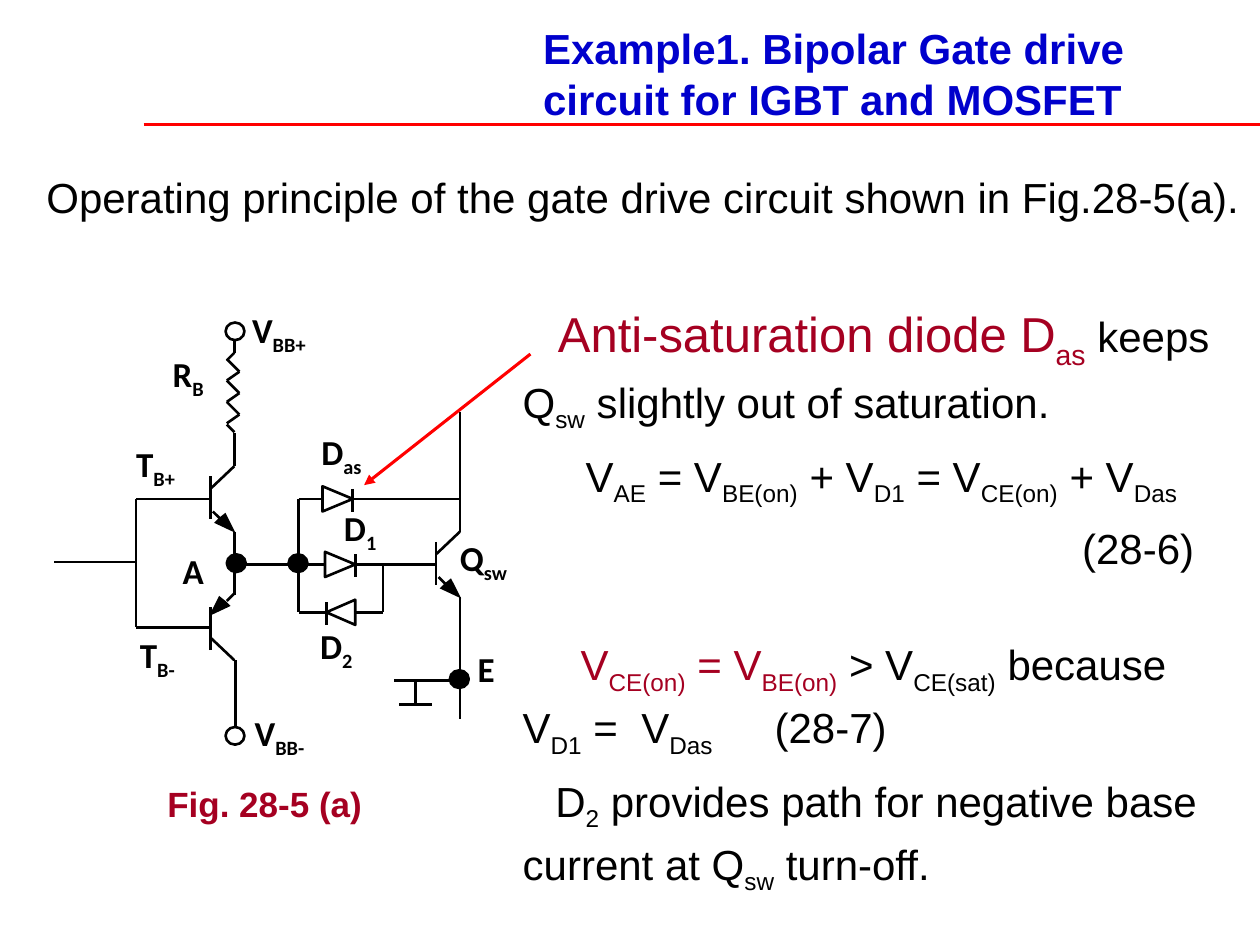
import pptx
import pptx.dml.color
import pptx.enum.shapes
import pptx.enum.text
import pptx.oxml.xmlchemy
import pptx.util

Inches = pptx.util.Inches
Pt = pptx.util.Pt
RGBColor = pptx.dml.color.RGBColor
OxmlElement = pptx.oxml.xmlchemy.OxmlElement
BLACK = RGBColor(0, 0, 0)
WHITE = RGBColor(255, 255, 255)
RED = RGBColor(255, 0, 0)
WINE = RGBColor(0xA5, 0x00, 0x21)
BLUE = RGBColor(0x00, 0x00, 0xCC)
BODY = {"name": "Arial", "size": Pt(24), "bold": False}
HEAD = {"name": "Arial", "size": Pt(24), "bold": True}
LABEL = {"name": "Calibri", "size": Pt(20), "bold": True}
NOTE = {"name": "Arial", "size": Pt(20), "bold": True}
TIGHT = dict.fromkeys(
    ("margin_left", "margin_right", "margin_top", "margin_bottom"), 0)


def add_text(para, text, style, color):
    for i, part in enumerate(text.split("|")):
        if part:
            run = para.add_run()
            run.text = part
            for key, value in style.items():
                setattr(run.font, key, value)
            run.font.color.rgb = color
            if i % 2:
                run._r.get_or_add_rPr().set("baseline", "-25000")


def add_line(shapes, x1, y1, x2, y2, color=BLACK, width=1.5):
    line = shapes.add_connector(
        pptx.enum.shapes.MSO_CONNECTOR.STRAIGHT,
        Inches(x1), Inches(y1), Inches(x2), Inches(y2))
    line.line.color.rgb = color
    line.line.width = Pt(width)
    line._element.spPr.append(OxmlElement("a:effectLst"))
    return line


prs = pptx.Presentation()
prs.slide_width = Inches(10)
prs.slide_height = Inches(7.5)
slide = prs.slides.add_slide(prs.slide_layouts[5])
shapes = slide.shapes

add_line(shapes, 1.14, 0.99, 10, 0.99, RED)

title = shapes.title
place = {"left": 4.21, "top": 0.13, "width": 5.43, "height": 0.9}
for key, value in place.items():
    setattr(title, key, Inches(value))
frame = title.text_frame
form = {"word_wrap": True, "auto_size": pptx.enum.text.MSO_AUTO_SIZE.NONE,
        "vertical_anchor": pptx.enum.text.MSO_ANCHOR.TOP}
for key, value in form.items():
    setattr(frame, key, value)
frame.paragraphs[0].alignment = pptx.enum.text.PP_ALIGN.LEFT
add_text(frame.paragraphs[0],
         "Example1. Bipolar Gate drive circuit for IGBT and MOSFET", HEAD, BLUE)

intro = shapes.add_textbox(Inches(0.27), Inches(1.31), Inches(9.77), Inches(0.5))
intro.text_frame.word_wrap = True
add_text(intro.text_frame.paragraphs[0],
         "Operating principle of the gate drive circuit shown in Fig.28-5(a).",
         BODY, BLACK)

points = [
    (0.28, 0, [("Anti-saturation diode D|as|", WINE, 28),
               (" keeps Q|sw| slightly out of saturation.", BLACK, 24)]),
    (0.5, 6, [("V|AE| = V|BE(on)| + V|D1| = V|CE(on)| + V|Das|", BLACK, 24)]),
    (4.44, 6, [("(28-6)", BLACK, 24)]),
    (0.46, 34, [("V|CE(on)| = V|BE(on)|", WINE, 24),
                (" > V|CE(sat)| because V|D1| =  V|Das|\t(28-7)", BLACK, 24)]),
    (0.26, 6, [("D|2| provides path for negative base current at Q|sw| turn-off.",
                BLACK, 24)]),
]
body = shapes.add_textbox(Inches(4.05), Inches(2.31), Inches(5.83), Inches(5.43))
frame = body.text_frame
frame.word_wrap = True
for i, (indent, space, parts) in enumerate(points):
    para = frame.add_paragraph() if i else frame.paragraphs[0]
    props = para._p.get_or_add_pPr()
    props.set("indent", str(Inches(indent)))
    if any("\t" in text for text, color, size in parts):
        tabs = OxmlElement("a:tabLst")
        tab = OxmlElement("a:tab")
        tab.set("pos", str(Inches(4.29)))
        tab.set("algn", "l")
        tabs.append(tab)
        props.append(tabs)
    para.line_spacing = 1.1
    para.space_before = Pt(space)
    for text, color, size in parts:
        add_text(para, text, {**BODY, "size": Pt(size)}, color)

parts = shapes.add_group_shape().shapes
wires = [
    (0.43, 4.46, 1.08, 4.46), (1.08, 3.96, 1.08, 4.98),
    (1.08, 3.96, 1.67, 3.96), (1.08, 4.98, 1.67, 4.98),
    (1.86, 2.7, 1.86, 2.8), (1.86, 2.8, 1.8, 2.86),
    (1.8, 3.37, 1.86, 3.43), (1.86, 3.44, 1.86, 3.7),
    (1.86, 4.22, 1.86, 4.72), (1.87, 5.24, 1.87, 5.77),
    (1.86, 4.48, 3.46, 4.48), (2.37, 3.96, 2.37, 4.86),
    (2.37, 3.96, 3.65, 3.96), (2.37, 4.86, 3.04, 4.86),
    (3.04, 4.48, 3.04, 4.86), (3.65, 3.27, 3.65, 4.22),
    (3.65, 4.74, 3.65, 5.71), (3.13, 5.4, 3.65, 5.4),
    (3.3, 5.4, 3.3, 5.59), (3.17, 5.59, 3.43, 5.59),
]
for i in range(3):
    y = 2.85 + 0.17 * i
    wires += [(1.8, y, 1.9, y + 0.1), (1.9, y + 0.1, 1.8, y + 0.17)]

solids = []
down = [(0.07, 0.23), (0.03, 0.27), (0.2, 0.35), (0.12, 0.19)]
up = [(0.12, -0.29), (0.07, -0.33), (-0.01, -0.17), (0.16, -0.25)]
gates = [(1.67, 3.88, 1, 0.02, down), (3.46, 4.4, 1, 0.02, down),
         (1.67, 5.06, -1, 0.13, up)]
for x, y, sign, start, arrow in gates:
    rise = 0.16 + start
    wires += [(x + 0.19, y - 0.18 * sign, x, y),
              (x, y - 0.1 * sign, x, y + 0.24 * sign),
              (x + start, y + rise * sign,
               x + start + 0.06, y + (rise + 0.06) * sign)]
    solids.append(([(x + dx, y + dy) for dx, dy in arrow], BLACK, 0))

for back, tip, y in [(2.58, 2.82, 4.48), (2.82, 2.59, 4.86), (2.56, 2.8, 3.96)]:
    wires.append((tip, y - 0.08, tip, y + 0.1))
    solids.append(([(back, y + 0.1), (tip, y), (back, y - 0.1)], WHITE, 1.5))

for wire in wires:
    add_line(parts, *wire)

for dots, fill, width in solids:
    dots = [(Inches(x), Inches(y)) for x, y in dots]
    pen = parts.build_freeform(*dots[0])
    pen.add_line_segments(dots[1:], close=True)
    solid = pen.convert_to_shape()
    solid.shadow.inherit = False
    solid.fill.solid()
    solid.fill.fore_color.rgb = fill
    if width:
        solid.line.color.rgb = BLACK
        solid.line.width = Pt(width)
    else:
        solid.line.fill.background()

nodes = [(1.79, 5.77, False), (1.79, 2.56, False), (1.8, 4.4, True),
         (3.57, 5.32, True), (2.29, 4.4, True)]
for x, y, full in nodes:
    node = parts.add_shape(pptx.enum.shapes.MSO_SHAPE.OVAL,
                           Inches(x), Inches(y), Inches(0.15), Inches(0.14))
    node.shadow.inherit = False
    node.line.color.rgb = BLACK
    node.line.width = Pt(1.5)
    if full:
        node.fill.solid()
        node.fill.fore_color.rgb = BLACK
    else:
        node.fill.background()

labels = [
    ("V|BB+", 2, 2.45, 0.49), ("R|B", 1.37, 2.8, 0.29), ("T|B+", 1.08, 3.51, 0.36),
    ("D|as", 2.55, 3.42, 0.48), ("D|1", 2.73, 4.02, 0.3), ("D|2", 2.54, 4.96, 0.3),
    ("Q|sw", 3.65, 4.26, 0.44), ("A", 1.45, 4.36, 0.19), ("E", 3.79, 5.14, 0.16),
    ("V|BB-", 2.02, 5.65, 0.45), ("T|B-", 1.11, 5.03, 0.32),
]
for text, x, y, width in labels:
    height = 0.38 if "|" in text else 0.33
    box = parts.add_textbox(Inches(x), Inches(y), Inches(width), Inches(height))
    for key, value in {**TIGHT, "word_wrap": text == "D|as"}.items():
        setattr(box.text_frame, key, value)
    add_text(box.text_frame.paragraphs[0], text, LABEL, BLACK)

note = parts.add_textbox(Inches(1.23), Inches(6.16), Inches(2.5), Inches(0.44))
note.text_frame.word_wrap = True
add_text(note.text_frame.paragraphs[0], "Fig. 28-5 (a)", NOTE, WINE)

arrow = add_line(shapes, 4.21, 2.81, 2.89, 3.85, RED, 1.75)
tail = OxmlElement("a:tailEnd")
tail.set("type", "triangle")
arrow._element.spPr.get_or_add_ln().append(tail)

prs.save("out.pptx")
